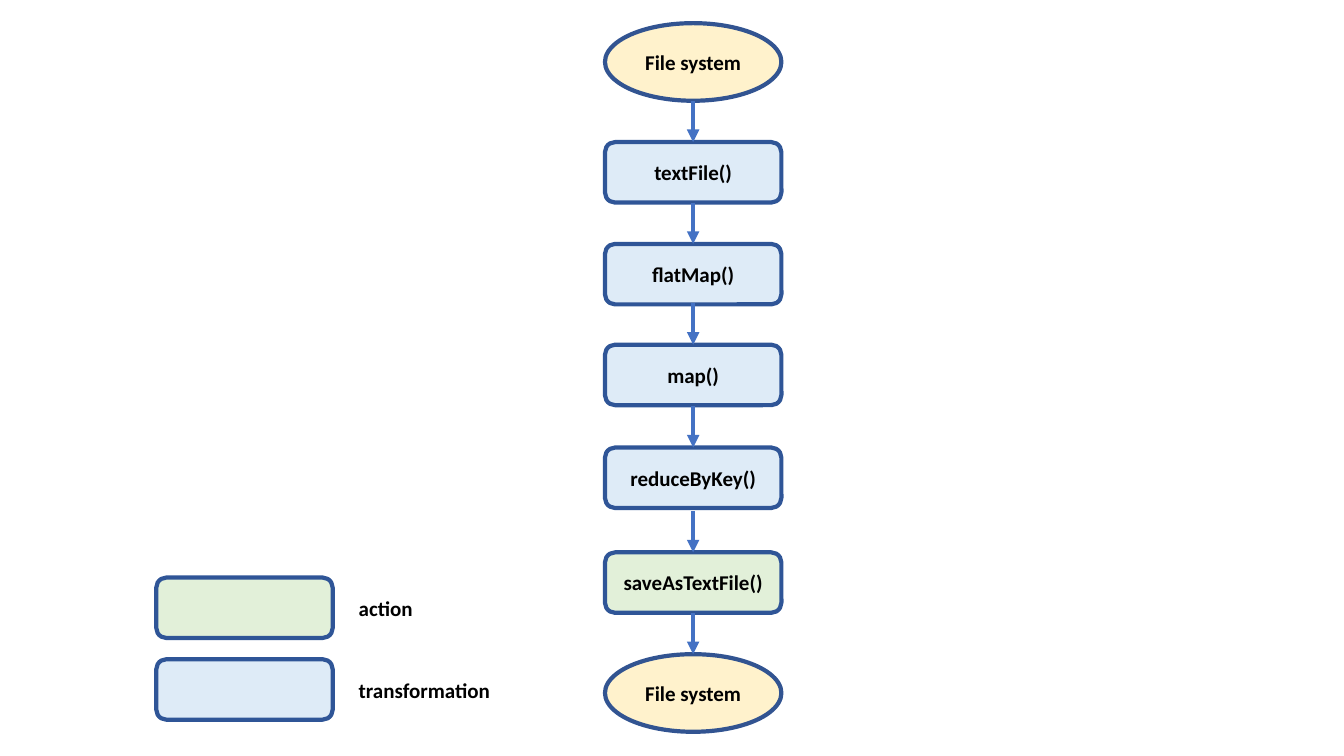
from dataclasses import dataclass

from lxml import etree
from pptx import Presentation
from pptx.dml.color import RGBColor
from pptx.enum import shapes, text
from pptx.oxml import ns
from pptx.util import Inches, Pt


@dataclass(frozen=True)
class Theme:
    """Colours, type and line sizes of the slide."""
    font: str = "Calibri"
    size: int = 15
    weight: int = 3
    ink: str = "000000"
    edge: str = "2F5597"
    rim: str = "325491"
    arrow: str = "4472C4"
    store: str = "FFF2CC"
    change: str = "DEEBF7"
    action: str = "E2F0D9"


LOOK = Theme()
WIDE, TALL, OVAL, GAP = 1.75, 0.6, 0.77, 0.41
KINDS = {
    "store": (shapes.MSO_SHAPE.OVAL, OVAL, LOOK.store, LOOK.rim),
    "change": (shapes.MSO_SHAPE.ROUNDED_RECTANGLE, TALL, LOOK.change, LOOK.edge),
    "action": (shapes.MSO_SHAPE.ROUNDED_RECTANGLE, TALL, LOOK.action, LOOK.edge),
}
STEPS = [
    ("File system", "store", 0),
    ("textFile()", "change", 1.18),
    ("flatMap()", "change", 2.19),
    ("map()", "change", 3.19),
    ("reduceByKey()", "change", 4.21),
    ("saveAsTextFile()", "action", 5.25),
    ("File system", "store", 6.26),
]
KEYS = [("action", "action", 1.43), ("transformation", "change", 1.73)]


def paint(line, color):
    """Give a line its colour and weight."""
    line.color.rgb = RGBColor.from_string(color)
    line.width = Pt(LOOK.weight)


def write(frame, words, align):
    """Write one bold label into a text frame."""
    para = frame.paragraphs[0]
    para.alignment = align
    run = para.add_run()
    run.text = words
    style = {"name": LOOK.font, "size": Pt(LOOK.size), "bold": True}
    for key, value in style.items():
        setattr(run.font, key, value)
    run.font.color.rgb = RGBColor.from_string(LOOK.ink)


def node(slide, kind, left, top, words=""):
    """Add a filled node of the given kind."""
    form, height, fill, edge = KINDS[kind]
    box = slide.shapes.add_shape(form, *map(Inches, (left, top, WIDE, height)))
    box.shadow.inherit = False
    box.fill.solid()
    box.fill.fore_color.rgb = RGBColor.from_string(fill)
    paint(box.line, edge)
    if words:
        box.text_frame.word_wrap = True
        box.text_frame.vertical_anchor = text.MSO_ANCHOR.MIDDLE
        write(box.text_frame, words, text.PP_ALIGN.CENTER)


def arrow(slide, x, top):
    """Add a downward arrow that spans one gap."""
    ends = map(Inches, (x, top, x, top + GAP))
    link = slide.shapes.add_connector(shapes.MSO_CONNECTOR.STRAIGHT, *ends)
    paint(link.line, LOOK.arrow)
    tip = etree.SubElement(link.line._get_or_add_ln(), ns.qn("a:tailEnd"))
    tip.set("type", "triangle")
    etree.SubElement(link._element.spPr, ns.qn("a:effectLst"))


def flow(slide, left, top):
    """Place the column of steps, each with an arrow into it."""
    for words, kind, drop in STEPS:
        node(slide, kind, left, top + drop, words)
        if drop:
            arrow(slide, left + WIDE / 2, top + drop - GAP)


def legend(slide, left, top):
    """Place the colour keys with their names."""
    for row, (words, kind, width) in enumerate(KEYS):
        y = top + row * 0.81
        node(slide, kind, left, y)
        spot = map(Inches, (left + 1.91, y + 0.13, width, 0.35))
        frame = slide.shapes.add_textbox(*spot).text_frame
        frame.word_wrap = True
        frame.auto_size = text.MSO_AUTO_SIZE.SHAPE_TO_FIT_TEXT
        write(frame, words, text.PP_ALIGN.LEFT)


def main():
    """Build and save the slide."""
    deck = Presentation()
    deck.slide_width, deck.slide_height = Inches(13.33), Inches(7.5)
    slide = deck.slides.add_slide(deck.slide_layouts[6])
    flow(slide, 6, 0.23)
    legend(slide, 1.55, 5.73)
    deck.save("out.pptx")


main()
